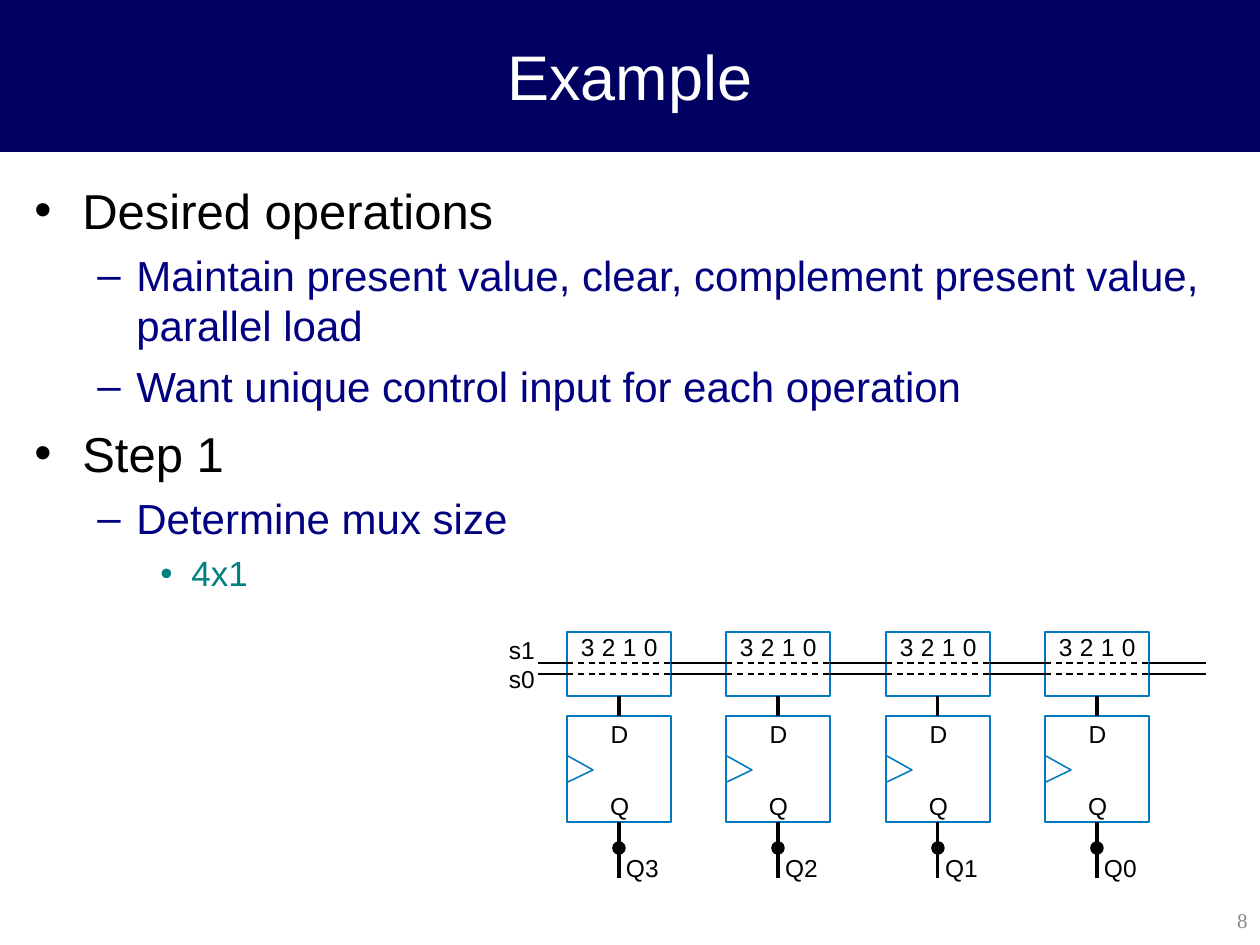
from lxml import etree
from pptx import Presentation
from pptx import util as u
from pptx.dml.color import RGBColor
from pptx.enum import dml, shapes, text
from pptx.oxml import ns

PX = u.Inches(1) / 126
NAVY = RGBColor(0x00, 0x00, 0x60)
INDIGO = RGBColor(0x00, 0x00, 0x80)
TEAL = RGBColor(0x00, 0x80, 0x80)
BLUE = RGBColor(0x00, 0x79, 0xC1)
GRAY = RGBColor(0x89, 0x89, 0x89)
BLACK = RGBColor(0x00, 0x00, 0x00)
WHITE = RGBColor(0xFF, 0xFF, 0xFF)

# Per outline level: bullet, text indent and hang in px, space before, size, colour
LEVELS = [
    ("•", 48, 48, 7, 28, BLACK),
    ("–", 102, 39, 6, 24, INDIGO),
    ("•", 157, 31, 5, 20, TEAL),
]
OUTLINE = [
    (0, "Desired operations"),
    (1, "Maintain present value, clear, complement present value, parallel load"),
    (1, "Want unique control input for each operation"),
    (0, "Step 1"),
    (1, "Determine mux size"),
    (2, "4x1"),
]
BIT_WIDTH = 104
SELECT_OFFSETS = (31, 42)


def px(*lengths):
    return [u.Emu(round(length * PX)) for length in lengths]


def set_font(paragraph, size, color, name="Arial"):
    paragraph.font.size = u.Pt(size)
    paragraph.font.color.rgb = color
    paragraph.font.name = name


def add_shape(slide, kind, box, line_color, line_width, fill=None):
    shape = slide.shapes.add_shape(kind, *px(*box))
    style_shape(shape, line_color, line_width, fill)
    return shape


def style_shape(shape, line_color, line_width, fill=None):
    shape.shadow.inherit = False
    if fill is None:
        shape.fill.background()
    else:
        shape.fill.solid()
        shape.fill.fore_color.rgb = fill
    shape.line.color.rgb = line_color
    shape.line.width = u.Pt(line_width)


def add_line(slide, start, end, width, dashed=False):
    line = slide.shapes.add_connector(
        shapes.MSO_CONNECTOR.STRAIGHT, *px(*start, *end))
    line.line.color.rgb = BLACK
    line.line.width = u.Pt(width)
    if dashed:
        line.line.dash_style = dml.MSO_LINE.DASH
    etree.SubElement(line._element.spPr, ns.qn("a:effectLst"))
    return line


def add_label(slide, box, *lines, align=text.PP_ALIGN.LEFT):
    """Small diagram text without margins or wrapping."""
    frame = slide.shapes.add_textbox(*px(*box)).text_frame
    frame.margin_left = frame.margin_right = 0
    frame.margin_top = frame.margin_bottom = 0
    frame.word_wrap = False
    frame.text = "\n".join(lines)
    for paragraph in frame.paragraphs:
        paragraph.alignment = align
        set_font(paragraph, 14, BLACK)


def add_header(slide, box, title):
    band = add_shape(slide, shapes.MSO_SHAPE.RECTANGLE, box, NAVY, 0.75, NAVY)
    frame = band.text_frame
    frame.vertical_anchor = text.MSO_ANCHOR.MIDDLE
    frame.text = title
    frame.paragraphs[0].alignment = text.PP_ALIGN.CENTER
    set_font(frame.paragraphs[0], 36, WHITE)


def add_bullet(paragraph, character, indent, hang, color):
    properties = paragraph._p.get_or_add_pPr()
    left, first = px(indent, -hang)
    properties.set("marL", str(left))
    properties.set("indent", str(first))
    bullet_color = etree.SubElement(properties, ns.qn("a:buClr"))
    etree.SubElement(bullet_color, ns.qn("a:srgbClr"), val=str(color))
    etree.SubElement(properties, ns.qn("a:buFont"), typeface="Arial")
    etree.SubElement(properties, ns.qn("a:buChar"), char=character)


def add_outline(slide, box, items):
    frame = slide.shapes.add_textbox(*px(*box)).text_frame
    frame.word_wrap = True
    frame.text = "\n".join(words for _, words in items)
    for index, (level, _) in enumerate(items):
        character, indent, hang, space, size, color = LEVELS[level]
        paragraph = frame.paragraphs[index]
        paragraph.level = level
        add_bullet(paragraph, character, indent, hang, color)
        if index:
            paragraph.space_before = u.Pt(space)
        set_font(paragraph, size, color)


def add_page_number(slide, box, number):
    frame = slide.shapes.add_textbox(*px(*box)).text_frame
    frame.word_wrap = True
    frame.vertical_anchor = text.MSO_ANCHOR.MIDDLE
    frame.text = number
    frame.paragraphs[0].alignment = text.PP_ALIGN.RIGHT
    set_font(frame.paragraphs[0], 12, GRAY, "Times New Roman")


def add_bit(slide, left, top, output):
    """One register bit: a mux feeding a flip-flop, with its output wire."""
    center = left + BIT_WIDTH // 2
    rectangle = shapes.MSO_SHAPE.RECTANGLE
    mux = add_shape(slide, rectangle, (left, top, BIT_WIDTH, 64), BLUE, 1.25)
    flip_flop = add_shape(
        slide, rectangle, (left, top + 84, BIT_WIDTH, 106), BLUE, 1.25)

    builder = slide.shapes.build_freeform(left + 1, top + 124, scale=PX)
    builder.add_line_segments(
        [(left + 26, top + 138), (left + 1, top + 150)], close=False)
    style_shape(builder.convert_to_shape(), BLUE, 0.88)

    data_wire = add_line(slide, (center, top + 64), (center, top + 84), 1.75)
    data_wire.begin_connect(mux, 2)
    data_wire.end_connect(flip_flop, 0)
    output_wire = add_line(
        slide, (center, top + 190), (center, top + 246), 1.75)
    output_wire.begin_connect(flip_flop, 2)
    add_shape(slide, shapes.MSO_SHAPE.OVAL, (center - 6, top + 210, 12, 12),
              BLACK, 0.88, BLACK)

    for index, digit in enumerate("3210"):
        add_label(slide, (left + 14 + 21 * index, top, 14, 29), digit)
    for pin, offset in (("D", 87), ("Q", 159)):
        add_label(slide, (center - 9, top + offset, 19, 29), pin,
                  align=text.PP_ALIGN.CENTER)
    add_label(slide, (center + 7, top + 221, 33, 29), output)


def add_register(slide, left, top, width):
    """Four bits side by side, crossed by the select lines s1 and s0."""
    outputs = ("Q3", "Q2", "Q1", "Q0")
    bit_lefts = [left + 58 + index * 319 // 2 for index in range(len(outputs))]
    for bit_left, output in zip(bit_lefts, outputs):
        add_bit(slide, bit_left, top, output)

    add_label(slide, (left, top + 3, 26, 59), "s1", "s0")
    stops = [left + 29]
    for bit_left in bit_lefts:
        stops += [bit_left, bit_left + BIT_WIDTH]
    stops.append(left + width)
    for offset in SELECT_OFFSETS:
        y = top + offset
        for index, (start, end) in enumerate(zip(stops, stops[1:])):
            add_line(slide, (start, y), (end, y), 0.88, dashed=index % 2 == 1)


def main():
    presentation = Presentation()
    presentation.slide_width, presentation.slide_height = px(1260, 945)
    slide = presentation.slides.add_slide(presentation.slide_layouts[6])
    add_header(slide, (0, 0, 1260, 151), "Example")
    add_outline(slide, (22, 174, 1217, 721), OUTLINE)
    add_page_number(slide, (993, 895, 267, 50), "8")
    add_register(slide, 509, 632, 697)
    presentation.save("out.pptx")


if __name__ == "__main__":
    main()
